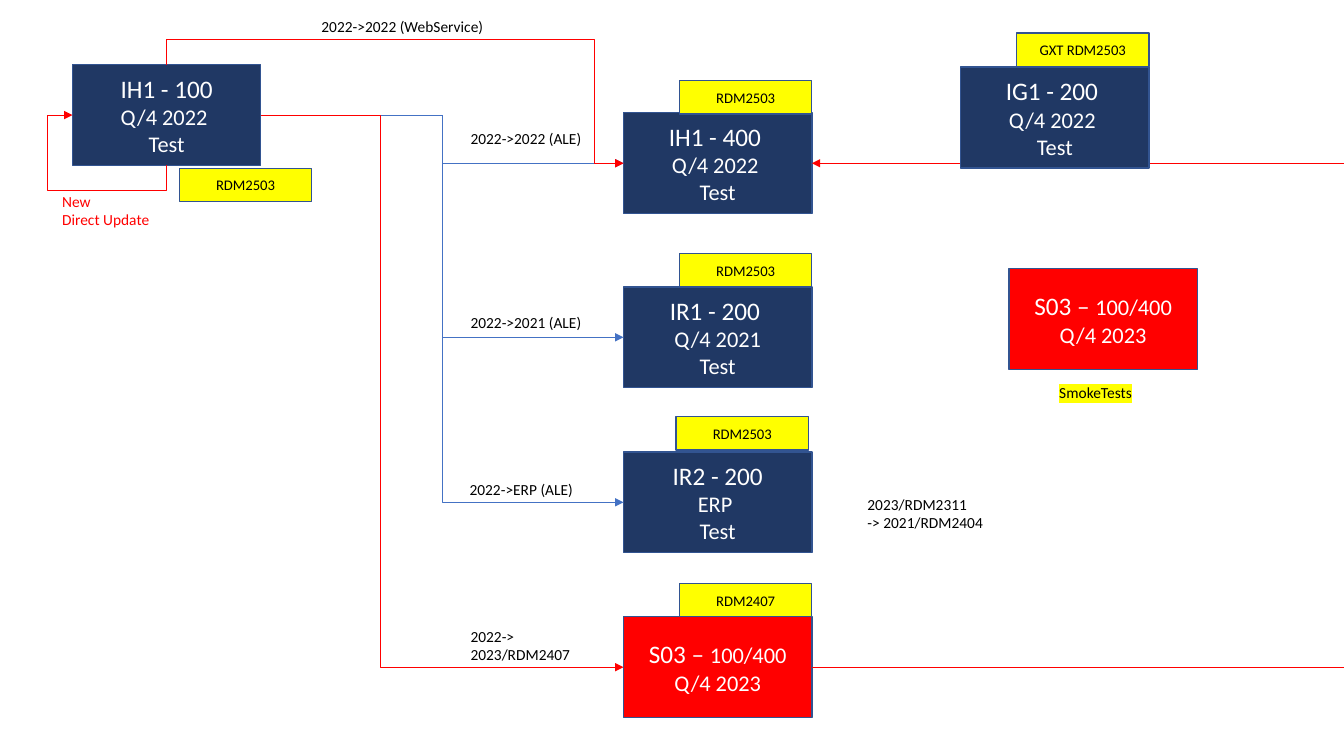
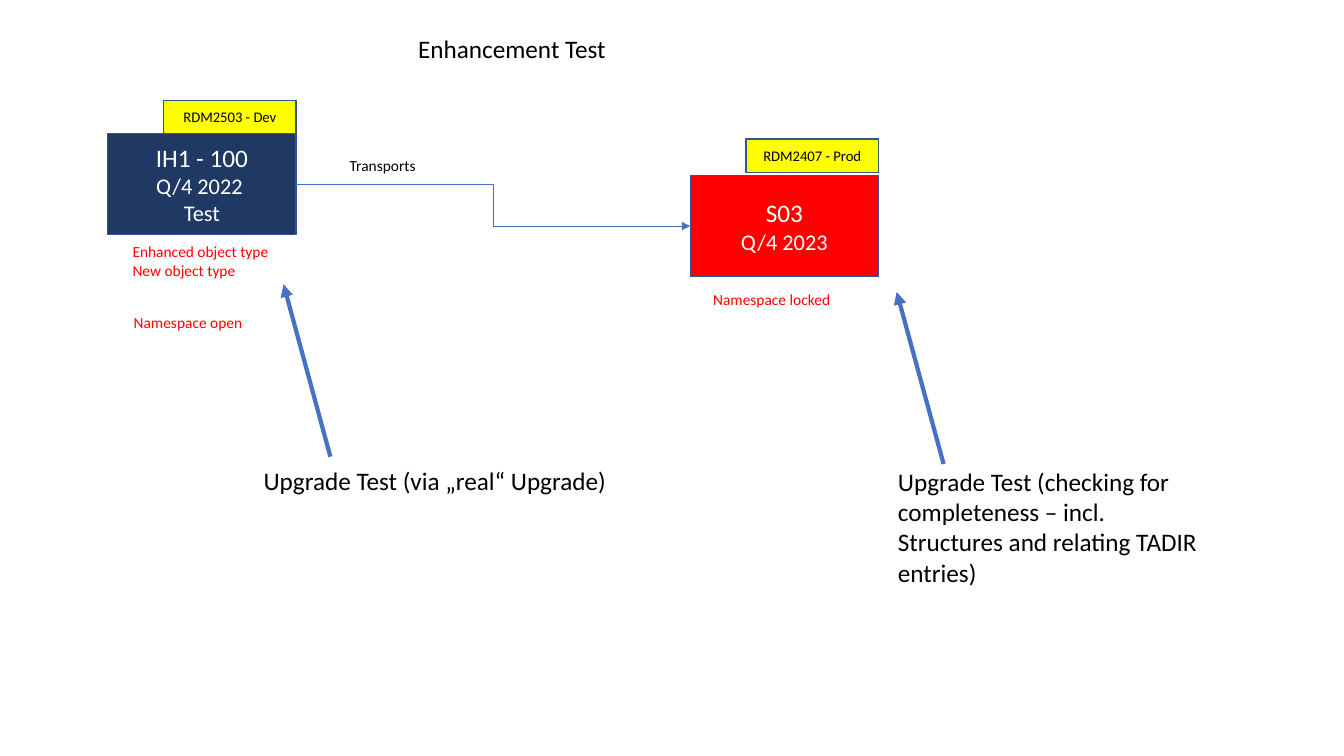
from dataclasses import dataclass
from typing import Any

from lxml.etree import SubElement as Sub
from pptx import Presentation
from pptx.dml.color import RGBColor as Rgb
from pptx.enum.shapes import MSO_CONNECTOR as Conn, MSO_SHAPE as Kind
from pptx.enum.text import MSO_ANCHOR as Anchor, PP_ALIGN as Align
from pptx.oxml.ns import qn
from pptx.slide import Slide
from pptx.util import Pt

FONT = "Calibri"
NAVY, RED, YELLOW = "203864", "FF0000", "FFFF00"
BLUE, EDGE, BLACK, WHITE = "4472C4", "325491", "000000", "FFFFFF"
BOX_W, BOX_H = 134.5, 72
TAG_W, TAG_H = 94.5, 23.8
WIDE, HIGH = 960, 540
TOP, LEFT, BOTTOM, RIGHT = range(4)
COL = 445.4


@dataclass
class System:
    left: float
    top: float
    head: str
    rest: str
    tag: str = ""
    fill: str = NAVY
    dx: float = BOX_W - TAG_W
    dy: float = -TAG_H

    def side(self, site: int) -> tuple[float, float]:
        x = self.left + (BOX_W / 2, 0, BOX_W / 2, BOX_W)[site]
        y = self.top + (0, BOX_H / 2, BOX_H, BOX_H / 2)[site]
        return x, y


@dataclass
class Label:
    left: float
    top: float
    width: float
    text: str
    color: str = BLACK
    size: float = 11
    mark: str = ""


def paint(target: Any, color: str) -> None:
    target.solid()
    target.fore_color.rgb = Rgb.from_string(color)


def style(para: Any, size: float, color: str) -> None:
    para.font.name = FONT
    para.font.size = Pt(size)
    paint(para.font.fill, color)


def add_rect(slide: Slide, x: float, y: float, w: float, h: float, fill: str) -> Any:
    rect = slide.shapes.add_shape(Kind.RECTANGLE, Pt(x), Pt(y), Pt(w), Pt(h))
    rect.shadow.inherit = False
    paint(rect.fill, fill)
    paint(rect.line.fill, EDGE)
    rect.line.width = Pt(1)
    rect.text_frame.word_wrap = True
    rect.text_frame.vertical_anchor = Anchor.MIDDLE
    rect.text_frame.paragraphs[0].alignment = Align.CENTER
    return rect


def add_system(slide: Slide, item: System) -> Any:
    box = add_rect(slide, item.left, item.top, BOX_W, BOX_H, item.fill)
    para = box.text_frame.paragraphs[0]
    style(para, 16, WHITE)
    head = para.add_run()
    head.text = item.head
    head.font.size = Pt(18)
    for order, line in enumerate(item.rest.split("\n")):
        if order:
            para.add_line_break()
        if line:
            para.add_run().text = line
    if item.tag:
        tag = add_rect(slide, item.left + item.dx, item.top + item.dy, TAG_W, TAG_H, YELLOW)
        note = tag.text_frame.paragraphs[0]
        note.text = item.tag
        style(note, 10.5, BLACK)
    return box


def add_label(slide: Slide, item: Label) -> None:
    lines = item.text.split("\n")
    high = 7.2 + item.size * 1.22 * len(lines)
    box = slide.shapes.add_textbox(Pt(item.left), Pt(item.top), Pt(item.width), Pt(high))
    box.text_frame.word_wrap = True
    box.text_frame.text = item.text
    for para in box.text_frame.paragraphs:
        style(para, item.size, item.color)
        if item.mark:
            props = para.runs[0]._r.get_or_add_rPr()
            Sub(Sub(props, qn("a:highlight")), qn("a:srgbClr")).set("val", item.mark)


def trace(shape: Any, color: str, width: float = 0.5, arrow: bool = True) -> None:
    paint(shape.line.fill, color)
    shape.line.width = Pt(width)
    props = shape._element.spPr
    if arrow:
        Sub(props.find(qn("a:ln")), qn("a:tailEnd")).set("type", "triangle")
    Sub(props, qn("a:effectLst"))


def add_line(slide: Slide, kind: Any, start: tuple[float, float], end: tuple[float, float]) -> Any:
    return slide.shapes.add_connector(kind, *(Pt(v) for v in start + end))


def add_elbow(slide: Slide, a: System, b: System, boxes: dict[int, Any],
              color: str = BLUE, bend: float = 0.5) -> None:
    line = add_line(slide, Conn.ELBOW, a.side(RIGHT), b.side(LEFT))
    line.begin_connect(boxes[id(a)], RIGHT)
    line.end_connect(boxes[id(b)], LEFT)
    geom = line._element.spPr.find(qn("a:prstGeom"))
    guide = Sub(geom.find(qn("a:avLst")), qn("a:gd"))
    guide.set("name", "adj1")
    guide.set("fmla", f"val {round(bend * 100000)}")
    trace(line, color)


def add_route(slide: Slide, points: list[tuple[float, float]], color: str) -> None:
    start, *others = [(Pt(x), Pt(y)) for x, y in points]
    draft = slide.shapes.build_freeform(*start)
    draft.add_line_segments(others, close=False)
    shape = draft.convert_to_shape()
    shape.fill.background()
    trace(shape, color)


def add_flow(deck: Any) -> None:
    slide = deck.slides.add_slide(deck.slide_layouts[6])
    hub = System(51.8, 46.2, "IH1 - 100", "\nQ/4 2022 \nTest", "RDM2503", dx=76.4, dy=74)
    ale = System(COL, 80.6, "IH1 - 400 ", "\nQ/4 2022 \nTest", "RDM2503", dy=-23)
    old = System(COL, 205, "IR1 - 200 ", "\nQ/4 2021\nTest", "RDM2503")
    erp = System(COL, 322.8, "IR2 - 200", "\nERP \nTest", "RDM2503", dx=37.6, dy=-25.2)
    new = System(COL, 440.6, "S03 – ", "100/400\nQ/4 2023", "RDM2407", RED)
    smoke = System(720.7, 192, "S03 – ", "100/400\nQ/4 2023", fill=RED)
    gts = System(686.2, 48, "IG1 - 200 ", "\nQ/4 2022 \nTest", "GXT RDM2503", dy=-24.4)
    boxes = {id(item): add_system(slide, item) for item in (hub, old, erp, new, ale, smoke)}

    for goal in (ale, old, erp):
        add_elbow(slide, hub, goal, boxes)
    add_elbow(slide, hub, new, boxes, RED, 0.33)

    x, y = new.side(RIGHT)
    leave = add_line(slide, Conn.STRAIGHT, (x, y), (WIDE, y))
    leave.begin_connect(boxes[id(new)], RIGHT)
    trace(leave, RED, arrow=False)
    x, y = ale.side(RIGHT)
    back = add_line(slide, Conn.STRAIGHT, (WIDE, y), (x, y))
    back.end_connect(boxes[id(ale)], RIGHT)
    trace(back, RED)

    gap = 18
    x, y = hub.side(TOP)
    end = ale.side(LEFT)
    turn = end[0] - 20.7
    add_route(slide, [(x, y), (x, y - gap), (turn, y - gap), (turn, end[1]), end], RED)
    x, y = hub.side(BOTTOM)
    end = hub.side(LEFT)
    turn = end[0] - gap
    add_route(slide, [(x, y), (x, y + gap), (turn, y + gap), (turn, end[1]), end], RED)

    for label in (
        Label(329, 89, 98, "2022->2022 (ALE)"),
        Label(329, 220.2, 98, "2022->2021 (ALE)"),
        Label(328.3, 339.5, 98, "2022->ERP (ALE)"),
        Label(329, 444.3, 98, "2022-> 2023/RDM2407"),
        Label(612.5, 350, 98, "2023/RDM2311\n-> 2021/RDM2404"),
        Label(222.5, 8.8, 186.5, "2022->2022 (WebService)"),
        Label(37.3, 133.5, 88, "New\nDirect Update", RED),
        Label(749.5, 270, 98, "SmokeTests", mark=YELLOW),
    ):
        add_label(slide, label)
    add_system(slide, gts)


def add_test(deck: Any) -> None:
    slide = deck.slides.add_slide(deck.slide_layouts[5])
    title = slide.shapes.title
    title.left, title.top, title.width, title.height = Pt(291.5), Pt(20.3), Pt(186.5), Pt(29)
    title.text_frame.text = "Enhancement Test"
    title.text_frame.vertical_anchor = Anchor.TOP
    para = title.text_frame.paragraphs[0]
    para.alignment = Align.LEFT
    style(para, 18, BLACK)

    dev = System(77, 95.4, "IH1 - 100", "\nQ/4 2022 \nTest", "RDM2503 - Dev")
    prod = System(493, 125.5, "S03", "\nQ/4 2023", "RDM2407 - Prod", RED, dy=-26.2)
    boxes = {id(item): add_system(slide, item) for item in (dev, prod)}
    add_elbow(slide, dev, prod, boxes)

    for label in (
        Label(242.7, 108.3, 98, "Transports"),
        Label(87.6, 169.7, 155, "Enhanced object type\nNew object type", RED),
        Label(502.3, 204, 155, "Namespace locked", RED),
        Label(88.4, 220.2, 155, "Namespace open", RED),
        Label(181.2, 328.5, 366.5, "Upgrade Test (via „real“ Upgrade)", size=18),
        Label(634.3, 329.5, 229.7, "Upgrade Test (checking for completeness – incl. "
              "Structures and relating TADIR entries)", size=18),
    ):
        add_label(slide, label)
    for start, end in (((236, 326.2), (202.5, 203)), ((674, 331.4), (640.5, 208.5))):
        trace(add_line(slide, Conn.STRAIGHT, start, end), BLUE, 3)


def main() -> None:
    deck = Presentation()
    deck.slide_width, deck.slide_height = Pt(WIDE), Pt(HIGH)
    add_flow(deck)
    add_test(deck)
    deck.save("out.pptx")


if __name__ == "__main__":
    main()
